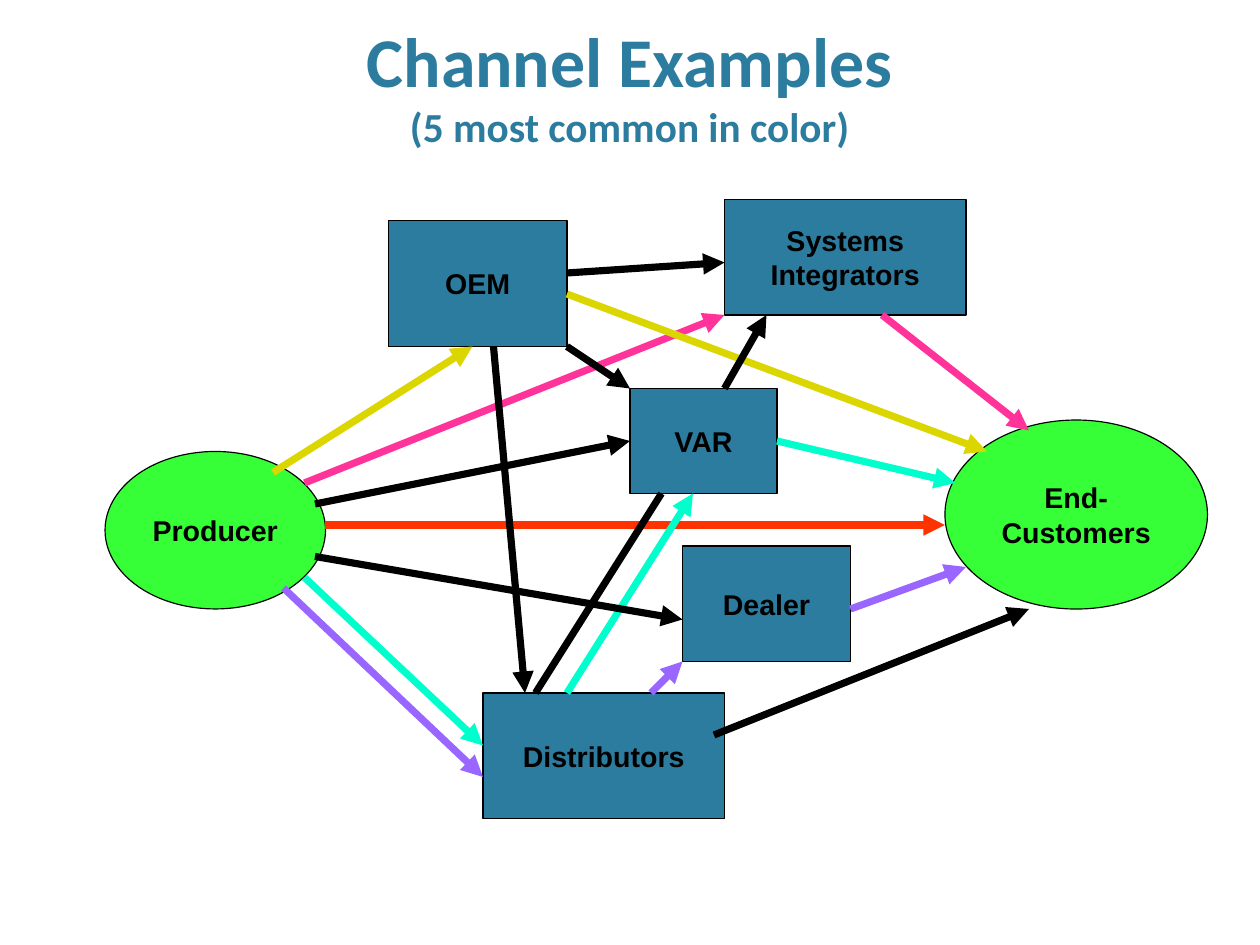
from dataclasses import dataclass
from lxml.etree import SubElement
from pptx import Presentation
from pptx.dml.color import RGBColor as RGB
from pptx.enum.shapes import MSO_CONNECTOR as Link, MSO_SHAPE as Kind
from pptx.enum.text import MSO_ANCHOR as Anchor, PP_ALIGN as Align
from pptx.oxml.ns import qn
from pptx.util import Pt

TITLE = "Channel Examples"
NOTE = "(5 most common in color)"

# Places are in grid units: the slide is 120 wide and 90 high.
HEAD = (6, 0, 108, 15)

# Text lines, place (left, top, width, height)
ENDS = [
    (["End-", "Customers"], (90, 40, 25, 18)),
    (["Producer"], (10, 43, 21, 15)),
]
BOXES = [
    (["OEM"], (37, 21, 17, 12)),
    (["Distributors"], (46, 66, 23, 12)),
    (["VAR"], (60, 37, 14, 10)),
    (["Systems", "Integrators"], (69, 19, 23, 11)),
    (["Dealer"], (65, 52, 16, 11)),
]

# Colour, from, to
ARROWS = [
    ("red", (31, 50), (90, 50)),
    ("pink", (29, 46), (69, 30)),
    ("gold", (26, 45), (45, 33)),
    ("black", (30, 48), (60, 42)),
    ("gold", (54, 28), (94, 43)),
    ("black", (54, 33), (60, 37)),
    ("black", (54, 26), (69, 25)),
    ("pink", (84, 30), (98, 41)),
    ("aqua", (74, 42), (91, 46)),
    ("violet", (27, 56), (46, 74)),
    ("aqua", (54, 66), (66, 47)),
    ("black", (30, 53), (65, 59)),
    ("violet", (81, 58), (92, 54)),
    ("black", (68, 70), (98, 58)),
    ("violet", (62, 66), (65, 63)),
    ("aqua", (29, 55), (46, 71)),
    ("black", (69, 37), (73, 30)),
    ("black", (47, 33), (50, 66)),
]
PLAIN = ("black", (51, 66), (63, 47))


@dataclass(frozen=True)
class Theme:
    unit: float = 6.615
    blue: str = "2C7C9F"
    green: str = "37FF37"
    red: str = "FF3300"
    pink: str = "FF3399"
    gold: str = "DBD600"
    aqua: str = "00FFCC"
    violet: str = "9966FF"
    black: str = "000000"
    head: str = "Calibri"
    body: str = "Arial"
    title: int = 44
    note: int = 26
    label: int = 18
    edge: float = 0.75
    arrow: float = 4.5


THEME = Theme()


def color(name):
    return RGB.from_string(getattr(THEME, name))


def scale(place):
    return [Pt(n * THEME.unit) for n in place]


def style(font, face, size, tint):
    font.name, font.size, font.bold = face, Pt(size), True
    font.color.rgb = color(tint)


def pad(frame):
    frame.margin_left = frame.margin_right = Pt(7.92)
    frame.margin_top = frame.margin_bottom = Pt(4.32)


def add_title(slide):
    title = slide.shapes.title
    title.left, title.top, title.width, title.height = scale(HEAD)
    frame = title.text_frame
    pad(frame)
    frame.vertical_anchor = Anchor.BOTTOM
    para = frame.paragraphs[0]
    para.alignment = Align.CENTER
    style(para.font, THEME.head, THEME.title, "blue")
    para.add_run().text = TITLE
    para.add_line_break()
    note = para.add_run()
    note.text = NOTE
    note.font.size = Pt(THEME.note)


def add_node(slide, kind, fill, lines, place):
    node = slide.shapes.add_shape(kind, *scale(place))
    node.shadow.inherit = False
    node.fill.solid()
    node.fill.fore_color.rgb = color(fill)
    node.line.color.rgb = color("black")
    node.line.width = Pt(THEME.edge)
    frame = node.text_frame
    pad(frame)
    frame.word_wrap = False
    frame.vertical_anchor = Anchor.MIDDLE
    frame.text = "\n".join(lines)
    for para in frame.paragraphs:
        para.alignment = Align.CENTER
        style(para.font, THEME.body, THEME.label, "black")


def add_line(slide, tint, start, end, tip=True):
    line = slide.shapes.add_connector(Link.STRAIGHT, *scale(start + end))
    line.line.color.rgb = color(tint)
    line.line.width = Pt(THEME.arrow)
    if tip:
        SubElement(line.line._get_or_add_ln(), qn("a:tailEnd"), type="triangle")
    SubElement(line._element.spPr, qn("a:effectLst"))


def main():
    deck = Presentation()
    deck.slide_width, deck.slide_height = scale((120, 90))
    slide = deck.slides.add_slide(deck.slide_layouts[5])
    add_title(slide)
    for lines, place in ENDS:
        add_node(slide, Kind.OVAL, "green", lines, place)
    for lines, place in BOXES:
        add_node(slide, Kind.RECTANGLE, "blue", lines, place)
    for arrow in ARROWS:
        add_line(slide, *arrow)
    add_line(slide, *PLAIN, tip=False)
    deck.save("out.pptx")


if __name__ == "__main__":
    main()
